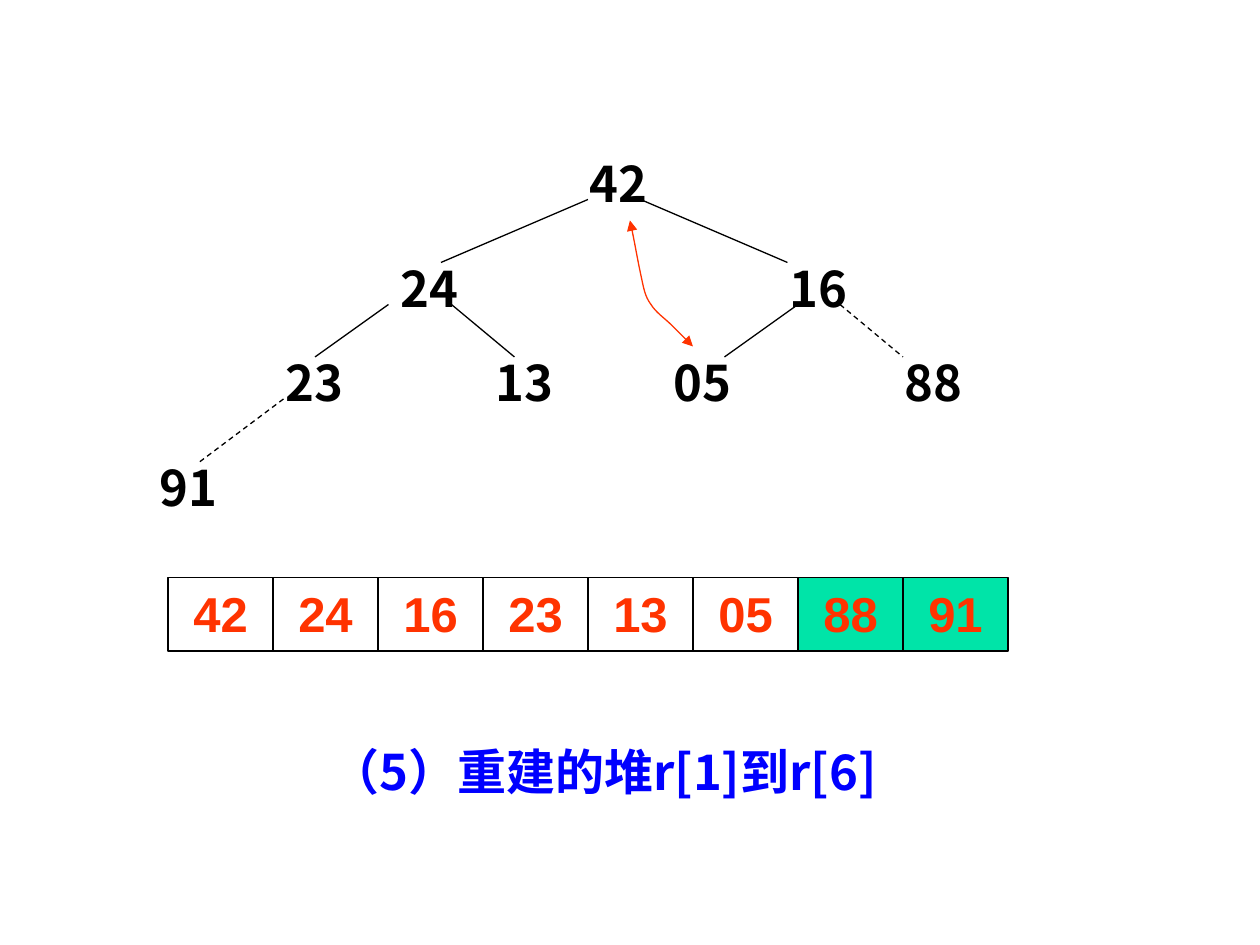
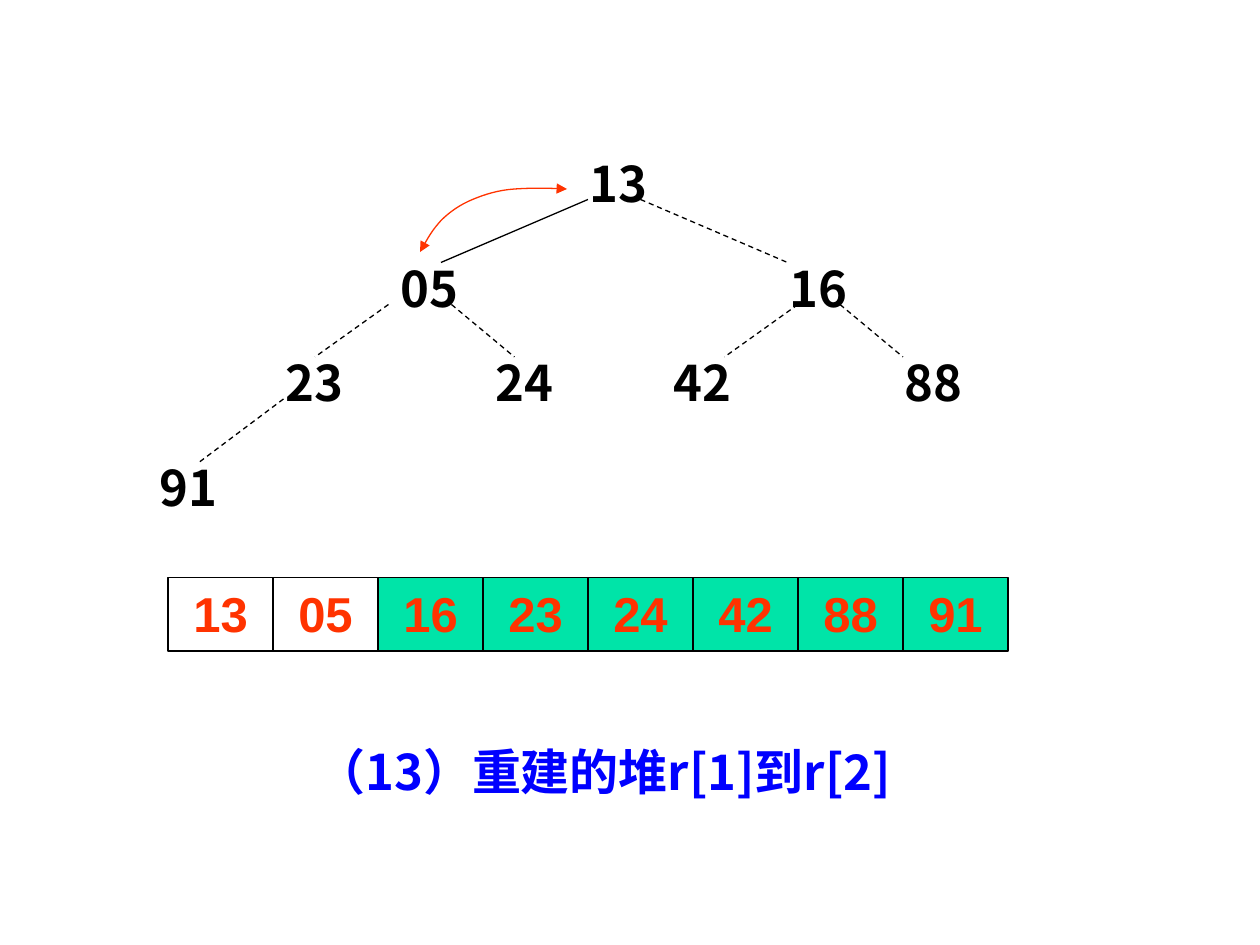
from lxml import etree
from pptx import Presentation
from pptx.dml.color import RGBColor
from pptx.enum.dml import MSO_LINE
from pptx.enum.shapes import MSO_CONNECTOR, MSO_SHAPE
from pptx.enum.text import MSO_ANCHOR, MSO_AUTO_SIZE, PP_ALIGN
from pptx.oxml.ns import qn
from pptx.util import Cm, Pt

RECT = MSO_SHAPE.RECTANGLE
LINE = MSO_CONNECTOR.STRAIGHT
DASH = MSO_LINE.DASH
LEFT, MID = PP_ALIGN.LEFT, PP_ALIGN.CENTER
GROW = MSO_AUTO_SIZE.SHAPE_TO_FIT_TEXT

THEME = {
    "ink": RGBColor(0x00, 0x00, 0x00),
    "blue": RGBColor(0x00, 0x00, 0xFF),
    "red": RGBColor(0xFF, 0x33, 0x00),
    "green": RGBColor(0x00, 0xE4, 0xA8),
    "han": "Noto Sans CJK SC",
    "sans": "Arial",
    "size": Pt(28),
    "line": Pt(0.75),
}

# Places are in grid steps, 120 across the slide
STEP = 25.4 / 120
TEXT_H = 6.84

# Heap nodes in level order, and the edge that leads to each node but the root
NODES = [(55, 14), (37, 24), (74, 24), (26, 33), (46, 33), (63, 33), (85, 33), (14, 43)]
EDGES = [
    (56, 19, 42, 25), (61, 19, 75, 25), (37, 29, 30, 34), (43, 29, 49, 34),
    (76, 29, 69, 34), (80, 29, 86, 34), (27, 38, 19, 44),
]

# Each swap: start point, then two control points and an end per curve
SLIDES = [
    {
        "title": "（5）重建的堆r[1]到r[6]",
        "heap": ["42", "24", "16", "23", "13", "05", "88", "91"],
        "live": 6,
        "swap": [
            (66, 33), (65.3, 32.3), (64.7, 31.7), (64, 31),
            (63.3, 30.3), (62.5, 29.8), (62, 29),
            (61.4, 28.2), (61.3, 27.4), (61, 26),
            (60.7, 24.6), (60.4, 22.8), (60, 21),
        ],
    },
    {
        "title": "（13）重建的堆r[1]到r[2]",
        "heap": ["13", "05", "16", "23", "24", "42", "88", "91"],
        "live": 2,
        "swap": [
            (40, 24), (40.6, 22.9), (41.2, 21.9), (42, 21),
            (42.8, 20.2), (43.8, 19.5), (45, 19),
            (46.2, 18.5), (47.5, 18.1), (49, 18),
            (50.5, 17.9), (52.2, 17.9), (54, 18),
        ],
    },
]


def grid(*steps):
    return [Cm(n * STEP) for n in steps]


def write(shape, text, face, color, align):
    frame = shape.text_frame
    frame.word_wrap = True
    frame.auto_size = GROW
    frame.vertical_anchor = MSO_ANCHOR.TOP
    frame.text = text
    para = frame.paragraphs[0]
    para.alignment = align
    run = para.runs[0]
    run.font.size = THEME["size"]
    run.font.bold = True
    run.font.color.rgb = THEME[color]
    run.font.name = THEME[face]
    east = etree.SubElement(run.font._element, qn("a:ea"))
    east.set("typeface", THEME[face])


deck = Presentation()
deck.slide_width, deck.slide_height = Cm(25.4), Cm(19.05)

for page in SLIDES:
    shapes = deck.slides.add_slide(deck.slide_layouts[6]).shapes

    # Caption
    box = shapes.add_textbox(*grid(23, 70, 69, TEXT_H))
    write(box, page["title"], "han", "blue", MID)

    # Tree nodes
    for (x, y), key in zip(NODES, page["heap"]):
        box = shapes.add_textbox(*grid(x, y, 8, TEXT_H))
        write(box, key, "han", "ink", LEFT)

    # Tree edges, dashed where the child has left the heap
    for child, ends in enumerate(EDGES, start=1):
        edge = shapes.add_connector(LINE, *grid(*ends))
        edge.line.color.rgb = THEME["ink"]
        edge.line.width = THEME["line"]
        if child >= page["live"]:
            edge.line.dash_style = DASH
        etree.SubElement(edge.element.spPr, qn("a:effectLst"))

    # Array cells, green once sorted
    for i, key in enumerate(page["heap"]):
        cell = shapes.add_shape(RECT, *grid(16 + 10 * i, 55, 10, 7))
        cell.shadow.inherit = False
        if i < page["live"]:
            cell.fill.background()
        else:
            cell.fill.solid()
            cell.fill.fore_color.rgb = THEME["green"]
        cell.line.color.rgb = THEME["ink"]
        cell.line.width = THEME["line"]
        write(cell, key, "sans", "red", MID)

    # Swap arrow: turn each three straight segments into one curve
    start, *rest = [grid(*dot) for dot in page["swap"]]
    pen = shapes.build_freeform(*start)
    pen.add_line_segments(rest, close=False)
    swap = pen.convert_to_shape()
    swap.shadow.inherit = False
    swap.fill.background()
    swap.line.color.rgb = THEME["red"]
    swap.line.width = THEME["line"]
    track = swap.element.find(".//" + qn("a:path"))
    legs = track.findall(qn("a:lnTo"))
    for i in range(0, len(legs), 3):
        curve = etree.SubElement(track, qn("a:cubicBezTo"))
        for leg in legs[i:i + 3]:
            curve.append(leg[0])
            track.remove(leg)
    stroke = swap.element.spPr.find(qn("a:ln"))
    for end in ("a:headEnd", "a:tailEnd"):
        etree.SubElement(stroke, qn(end)).set("type", "triangle")

deck.save("out.pptx")
